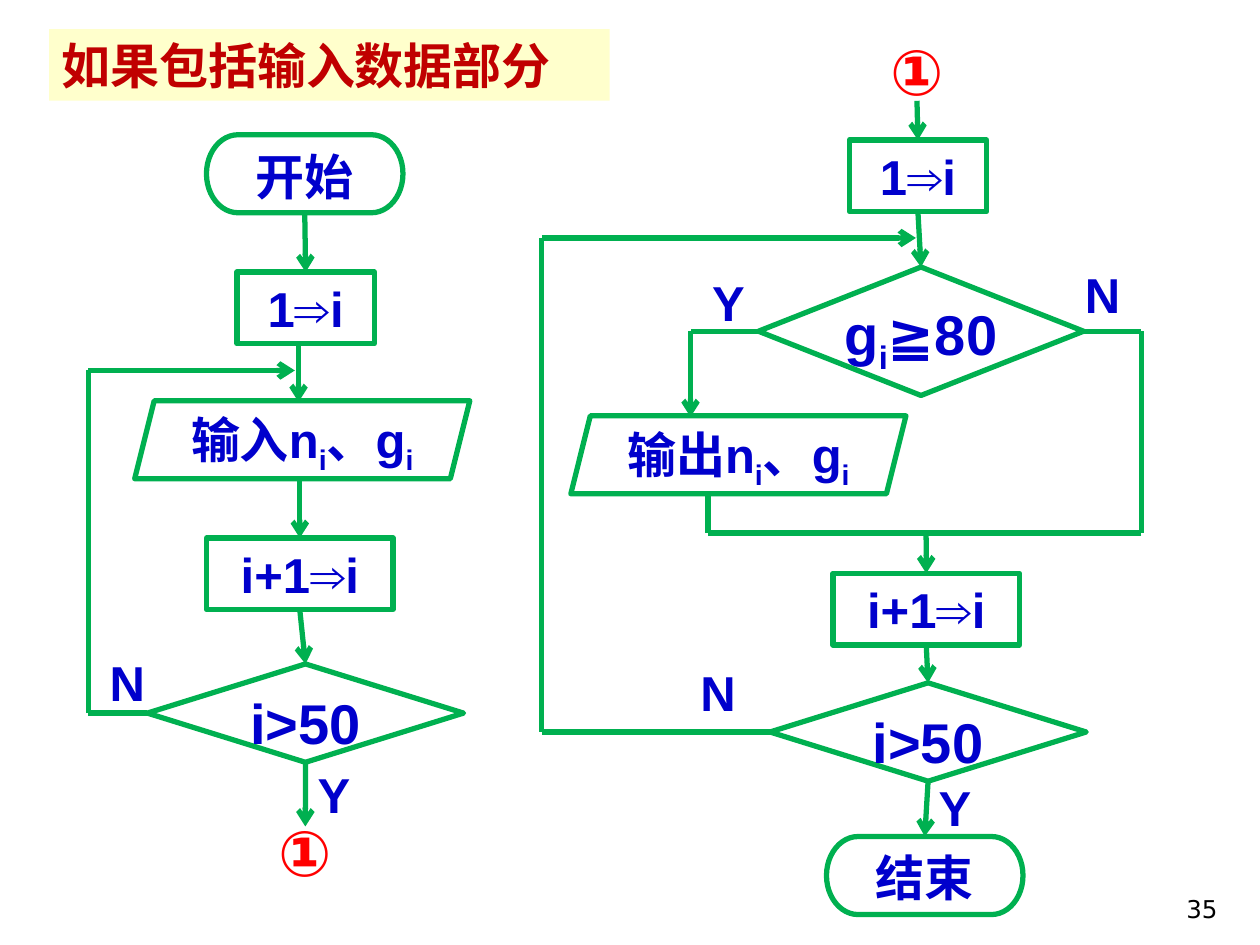
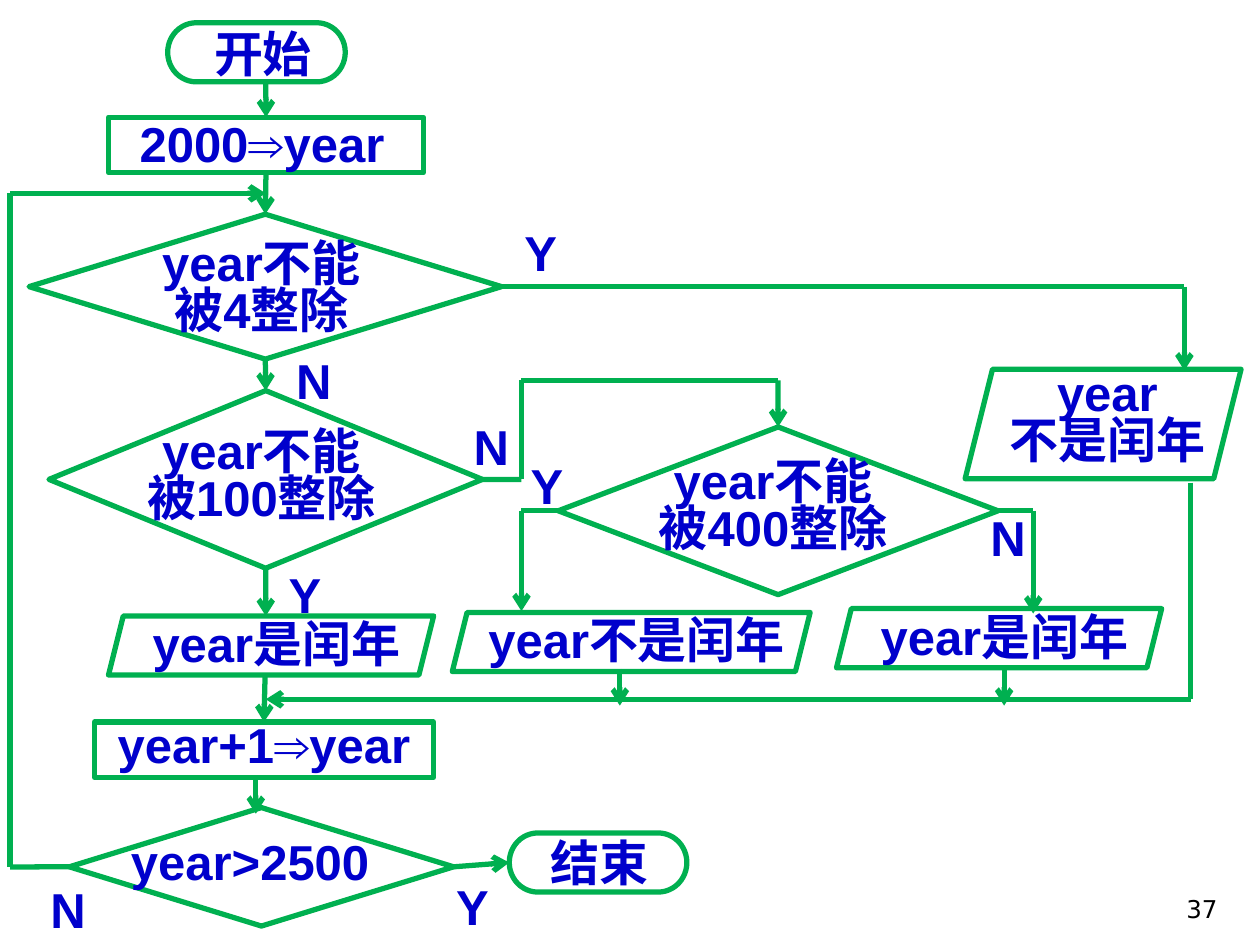
from dataclasses import dataclass
from itertools import pairwise

from lxml import etree
from pptx import Presentation
from pptx.dml.color import RGBColor
from pptx.enum import shapes, text
from pptx.oxml import ns
from pptx.util import Pt

KIND = shapes.MSO_SHAPE
ALIGN = text.PP_ALIGN
ANCHOR = text.MSO_ANCHOR
TOP, LEFT, BASE, RIGHT = range(4)


@dataclass(frozen=True)
class Theme:
    font: str = "Arial"
    plain: str = "DejaVu Sans"
    line: str = "00B050"
    ink: str = "0000CC"
    white: str = "FFFFFF"
    black: str = "000000"
    band: str = "FFFFCC"
    title: str = "C00000"
    mark: str = "FF0000"
    body: int = 28
    test: int = 32
    ring: int = 36
    page: int = 14
    weight: int = 3
    lead: int = 27


T = Theme()


def rgb(code):
    return RGBColor.from_string(code)


def write(shape, words, size=T.body, color=T.ink, font=T.font, bold=True,
          align=ALIGN.CENTER, anchor=ANCHOR.TOP, lead=None, wrap=True):
    """Fill a shape with lines of text; "_" lowers the next letter."""
    frame = shape.text_frame
    frame.word_wrap = wrap
    frame.vertical_anchor = anchor
    for row, line in enumerate(words.split("\n")):
        para = frame.paragraphs[0] if row == 0 else frame.add_paragraph()
        para.alignment = align
        if lead:
            para.line_spacing = Pt(lead)
        first, *rest = line.split("_")
        parts = [(first, False)]
        for part in rest:
            parts += [(part[0], True), (part[1:], False)]
        for part, low in parts:
            if not part:
                continue
            run = para.add_run()
            run.text = part
            run.font.name = font
            run.font.size = Pt(size)
            run.font.bold = bold
            run.font.color.rgb = rgb(color)
            if low:
                run._r.get_or_add_rPr().set("baseline", "-25000")


def draw(on, kind, box, fill=T.white, line=T.line):
    shape = on.add_shape(kind, *map(Pt, box))
    shape.shadow.inherit = False
    if fill:
        shape.fill.solid()
        shape.fill.fore_color.rgb = rgb(fill)
    else:
        shape.fill.background()
    if line:
        shape.line.color.rgb = rgb(line)
        shape.line.width = Pt(T.weight)
    else:
        shape.line.fill.background()
    return shape


def step(on, box, words):
    """Box for an assignment."""
    shape = draw(on, KIND.RECTANGLE, box, fill=None)
    write(shape, words)
    return shape


def node(on, kind, box, words, size=T.body):
    """Filled flowchart symbol whose text has no margins."""
    shape = draw(on, kind, box)
    frame = shape.text_frame
    frame.margin_left = frame.margin_right = 0
    frame.margin_top = frame.margin_bottom = 0
    write(shape, words, size=size, wrap=False)
    return shape


def label(on, words, box, **style):
    write(on.add_textbox(*map(Pt, box)), words, **style)


def card(on, kind, box, words, area, **style):
    """Group of a symbol and its own text area."""
    group = on.add_group_shape().shapes
    fill = None if kind == KIND.RECTANGLE else T.white
    shape = draw(group, kind, box, fill=fill)
    label(group, words, area, **style)
    return shape


def glued(end):
    return not isinstance(end[0], (int, float))


def spot(end):
    """Position of an (x, y) point or of a (shape, side) joint."""
    if not glued(end):
        return Pt(end[0]), Pt(end[1])
    shape, side = end
    across, down = {TOP: (1, 0), LEFT: (0, 1), BASE: (1, 2), RIGHT: (2, 1)}[side]
    return (shape.left + shape.width * across // 2,
            shape.top + shape.height * down // 2)


def route(on, *ends, arrow=True):
    """Straight lines through all ends, the last with an arrowhead."""
    for start, stop in pairwise(ends):
        line = on.add_connector(shapes.MSO_CONNECTOR.STRAIGHT,
                                *spot(start), *spot(stop))
        line.line.color.rgb = rgb(T.line)
        line.line.width = Pt(T.weight)
        if arrow and stop is ends[-1]:
            etree.SubElement(line.line._get_or_add_ln(),
                             ns.qn("a:tailEnd"), type="arrow")
        etree.SubElement(line._element.spPr, ns.qn("a:effectLst"))
        if glued(start):
            line.begin_connect(*start)
        if glued(stop):
            line.end_connect(*stop)


def tags(on, *marks):
    """Branch letters."""
    for word, x, y in marks:
        label(on, word, (x, y, 44.6, 41))


def page(deck, number):
    on = deck.slides.add_slide(deck.slide_layouts[6]).shapes
    label(on, number, (553, 495.4, 149.8, 36), size=T.page, color=T.black,
          font=T.plain, bold=False, align=ALIGN.RIGHT, anchor=ANCHOR.BOTTOM)
    return on


def grades(on):
    band = draw(on, KIND.RECTANGLE, (28, 16.6, 320.4, 41), T.band, None)
    write(band, "如果包括输入数据部分", color=T.title, align=ALIGN.LEFT)
    for x, y in ((146.2, 461.5), (496, 15.1)):
        label(on, "①", (x, y, 56.2, 51), size=T.ring, color=T.mark)

    # Reading loop
    start = node(on, KIND.FLOWCHART_TERMINATOR, (118, 77, 112.3, 44.6), "开始")
    init = step(on, (135.4, 155.5, 78.5, 41), "1⇒i")
    node(on, KIND.PARALLELOGRAM, (77, 229, 191.5, 44.6), "输入n_i、g_i")
    inc = step(on, (118, 307.4, 106.6, 41), "i+1⇒i")
    test = node(on, KIND.FLOWCHART_DECISION, (84.2, 379.4, 180.7, 56.2),
                "i>50", T.test)
    route(on, (start, BASE), (init, TOP))
    route(on, (170.6, 196), (170.6, 229.7))
    route(on, (171.3, 274), (inc, TOP))
    route(on, (inc, BASE), (test, TOP))
    route(on, (test, LEFT), (50.4, 407.5), (50.4, 211.7), (168.5, 211.7))
    route(on, (test, BASE), (174.5, 472.3))

    # Printing loop
    init = step(on, (485.3, 80, 78.5, 41), "1⇒i")
    grade = node(on, KIND.FLOWCHART_DECISION, (433.4, 152.6, 185.8, 73.4),
                 "g_i≧80", T.test)
    node(on, KIND.PARALLELOGRAM, (326.2, 237.6, 191.5, 44.6), "输出n_i、g_i")
    inc = step(on, (476, 327.6, 106.6, 41), "i+1⇒i")
    test = node(on, KIND.FLOWCHART_DECISION, (440, 390.2, 180.7, 56.2),
                "i>50", T.test)
    end = node(on, KIND.FLOWCHART_TERMINATOR, (472.3, 478, 112.3, 44.6), "结束")
    route(on, (524, 57.6), (init, TOP))
    route(on, (init, BASE), (grade, TOP))
    route(on, (grade, LEFT), (394.6, 189.3), (394.6, 238.3))
    route(on, (grade, RIGHT), (652.3, 189.3), (652.3, 304.6), (404.6, 304.6),
          (404.6, 282.2), arrow=False)
    route(on, (529.2, 304.6), (inc, TOP))
    route(on, (inc, BASE), (test, TOP))
    route(on, (test, LEFT), (309.6, 418.3), (309.6, 136), (523.4, 136))
    route(on, (test, BASE), (end, TOP))
    tags(on, ("N", 50.4, 369.4), ("Y", 168.5, 433.4), ("Y", 394, 152),
         ("N", 607.7, 147.6), ("N", 388, 375), ("Y", 523.4, 440.6))


def years(on):
    left, lead = {"align": ALIGN.LEFT}, {"lead": T.lead}
    card(on, KIND.FLOWCHART_TERMINATOR, (95.8, 13, 101.5, 33.8),
         "开始", (115.2, 10, 73.4, 41), **left)
    init = card(on, KIND.RECTANGLE, (62, 67, 180, 31.7),
                "2000⇒year", (72.7, 61.2, 163.4, 41), **left)
    four = card(on, KIND.FLOWCHART_DECISION, (16.6, 122.4, 270, 82.8),
                "year不能\n被4整除", (67.7, 136, 163.4, 62), **lead)
    cent = card(on, KIND.FLOWCHART_DECISION, (28, 223.2, 247.7, 101.5),
                "year不能\n被100整除", (67.7, 243.4, 163.4, 62), **lead)
    quad = card(on, KIND.FLOWCHART_DECISION, (319, 244, 251.3, 95.8),
                "year不能\n被400整除", (360, 260.6, 163.4, 62), **lead)
    card(on, KIND.PARALLELOGRAM, (551.5, 211, 157.7, 62.6),
         "year\n不是闰年", (568, 210.2, 129.6, 62), **lead)
    for words, x, y, width in (("year是闰年", 62, 352, 185.8),
                               ("year不是闰年", 258.5, 350, 204.5),
                               ("year是闰年", 478, 347.8, 185.8)):
        card(on, KIND.PARALLELOGRAM, (x, y, width, 33.8),
             words, (x + 8, y - 5, width - 10, 41))
    inc = card(on, KIND.RECTANGLE, (54, 412.6, 193.7, 31.7),
               "year+1⇒year", (46.8, 404.6, 208, 41))
    last = card(on, KIND.FLOWCHART_DECISION, (39.6, 461.5, 219.6, 67.7),
                "year>2500", (61.2, 478, 163.4, 34.6), **lead)
    end = card(on, KIND.FLOWCHART_TERMINATOR, (291, 476, 101.5, 33.8),
               "结束", (307.4, 472.3, 73.4, 41), **left)

    route(on, (151.9, 47.5), (init, TOP))
    route(on, (init, BASE), (four, TOP))
    route(on, (four, BASE), (cent, TOP))
    route(on, (four, RIGHT), (676.8, 163.8), (676.8, 211.7))
    route(on, (cent, BASE), (151.9, 352))
    route(on, (cent, RIGHT), (298, 274), (298, 217.4), (444.6, 217.4),
          (quad, TOP))
    route(on, (quad, LEFT), (298, 291.9), (298, 349.2))
    route(on, (quad, RIGHT), (590.4, 291.9), (590.4, 350.6))
    route(on, (151.5, 386), (inc, TOP))
    route(on, (680.4, 275.8), (680.4, 399.6), (151.9, 399.6))
    for x in (354.2, 573.8):
        route(on, (x, 382.3), (x, 403.2))
    route(on, (146.2, 443), (146.2, 465))
    route(on, (last, RIGHT), (end, LEFT))
    route(on, (last, LEFT), (5.8, 495.4), (5.8, 110.5), (151.9, 110.5))
    tags(on, ("Y", 286.6, 123.8), ("N", 157, 196.6), ("N", 258.5, 234.7),
         ("Y", 290.2, 257), ("N", 553.7, 286.6), ("Y", 152, 319),
         ("N", 16.6, 499), ("Y", 247.7, 497.5))


def main():
    deck = Presentation()
    deck.slide_width, deck.slide_height = Pt(720), Pt(540)
    grades(page(deck, "35"))
    years(page(deck, "37"))
    deck.save("out.pptx")


if __name__ == "__main__":
    main()
